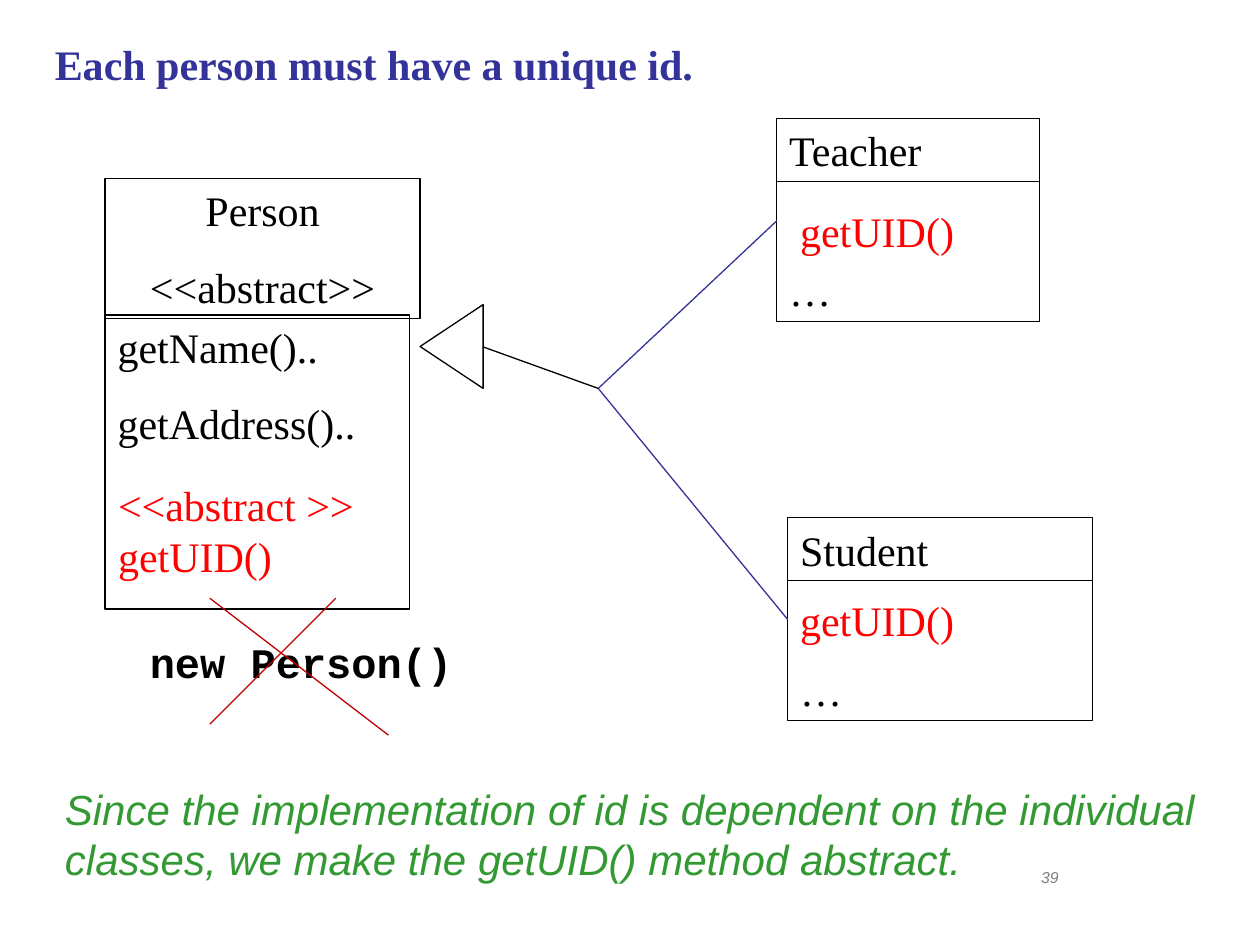
from dataclasses import dataclass, field

from lxml.etree import SubElement
from pptx import Presentation
from pptx.dml.color import RGBColor
from pptx.enum.shapes import MSO_CONNECTOR, MSO_SHAPE
from pptx.enum.text import MSO_ANCHOR, MSO_AUTO_SIZE, PP_ALIGN
from pptx.oxml.ns import qn
from pptx.util import Cm, Pt

COLORS = {
    "ink": "000000",
    "navy": "333399",
    "red": "FF0000",
    "cross": "C00000",
    "green": "339933",
    "gray": "808080",
}
HEADER_HEIGHT = 1.27
FORK = (12.06, 7.83)


@dataclass
class Area:
    left: float
    top: float
    width: float
    height: float

    def lengths(self) -> tuple:
        return Cm(self.left), Cm(self.top), Cm(self.width), Cm(self.height)


@dataclass
class Style:
    color: str = "ink"
    align: PP_ALIGN = PP_ALIGN.LEFT
    anchor: MSO_ANCHOR = MSO_ANCHOR.TOP
    gap: float = 0
    wrap: bool = True
    font: dict = field(default_factory=dict)


@dataclass
class Label:
    area: Area
    lines: list[str]
    style: Style


@dataclass
class Stroke:
    start: tuple[float, float]
    end: tuple[float, float]
    color: str


@dataclass
class Subclass:
    name: str
    left: float
    top: float
    width: float
    method_top: float


def rgb(color: str) -> RGBColor:
    return RGBColor.from_string(COLORS[color])


def write(frame, lines: list[str], style: Style) -> None:
    frame.auto_size = MSO_AUTO_SIZE.NONE
    frame.word_wrap = style.wrap
    frame.vertical_anchor = style.anchor
    font_values = {"name": "Times New Roman", "size": Pt(24),
                   "bold": False, "italic": False} | style.font
    for index, line in enumerate(lines):
        paragraph = frame.paragraphs[0] if index == 0 else frame.add_paragraph()
        paragraph.text = line
        paragraph.alignment = style.align
        paragraph.space_before = Pt(style.gap if index else 0)
        for name, value in font_values.items():
            setattr(paragraph.font, name, value)
        paragraph.font.color.rgb = rgb(style.color)


def draw_label(slide, label: Label) -> None:
    box = slide.shapes.add_textbox(*label.area.lengths())
    write(box.text_frame, label.lines, label.style)


def draw_outline(slide, kind: MSO_SHAPE, area: Area):
    outline = slide.shapes.add_shape(kind, *area.lengths())
    outline.shadow.inherit = False
    outline.fill.background()
    outline.line.color.rgb = rgb("ink")
    outline.line.width = Pt(0.75)
    return outline


def draw_compartment(slide, label: Label) -> None:
    compartment = draw_outline(slide, MSO_SHAPE.RECTANGLE, label.area)
    write(compartment.text_frame, label.lines, label.style)


def draw_subclass(slide, subclass: Subclass) -> None:
    header = Area(subclass.left, subclass.top, subclass.width, HEADER_HEIGHT)
    members = Area(subclass.left, subclass.top + HEADER_HEIGHT, subclass.width, 2.82)
    method = Area(15.88, subclass.method_top, 4.45, 1.27)
    draw_compartment(slide, Label(header, [subclass.name], Style()))
    draw_compartment(slide, Label(members, ["…"], Style(anchor=MSO_ANCHOR.BOTTOM)))
    draw_label(slide, Label(method, ["getUID()"], Style("red")))


def draw_stroke(slide, stroke: Stroke) -> None:
    connector = slide.shapes.add_connector(
        MSO_CONNECTOR.STRAIGHT, *map(Cm, stroke.start + stroke.end))
    connector.line.color.rgb = rgb(stroke.color)
    connector.line.width = Pt(0.75)
    SubElement(connector._element.spPr, qn("a:effectLst"))


PERSON = [
    Label(Area(2.12, 3.6, 6.35, 2.82), ["Person", "<<abstract>>"],
          Style(align=PP_ALIGN.CENTER, gap=15)),
    Label(Area(2.12, 6.35, 6.14, 5.93), ["getName()..", "getAddress().."],
          Style(gap=15)),
]
SUBCLASSES = [
    Subclass("Teacher", 15.66, 2.39, 5.29, 4.02),
    Subclass("Student", 15.88, 10.44, 6.14, 11.86),
]
LABELS = [
    Label(Area(2.13, 9.55, 5.26, 2.28), ["<<abstract >>", "getUID()"],
          Style("red", wrap=False)),
    Label(Area(2.77, 12.7, 6.6, 1.27), ["new Person()"],
          Style(wrap=False, font={"name": "Courier New", "bold": True})),
    Label(Area(1.06, 15.67, 23.6, 2.28),
          ["Since the implementation of id is dependent on the individual "
           "classes, we make the getUID() method abstract."],
          Style("green", font={"name": "Arial", "italic": True})),
    Label(Area(18.2, 17.36, 5.93, 1.31), ["39"],
          Style("gray", PP_ALIGN.CENTER,
                font={"name": "Arial", "size": Pt(9), "italic": True})),
]
STROKES = [
    Stroke(FORK, (15.66, 4.45), "navy"),
    Stroke(FORK, (15.88, 12.49), "navy"),
    Stroke((9.73, 6.99), FORK, "ink"),
    Stroke((4.23, 12.06), (7.83, 14.82), "cross"),
    Stroke((6.77, 12.06), (4.23, 14.6), "cross"),
]


def main() -> None:
    deck = Presentation()
    deck.slide_width, deck.slide_height = Cm(25.4), Cm(19.05)
    slide = deck.slides.add_slide(deck.slide_layouts[5])

    title = slide.shapes.title
    title.left, title.top, title.width, title.height = Area(
        0.85, 0.64, 15.24, 1.27).lengths()
    write(title.text_frame, ["Each person must have a unique id."],
          Style("navy", font={"bold": True}))

    for compartment in PERSON:
        draw_compartment(slide, compartment)
    for subclass in SUBCLASSES:
        draw_subclass(slide, subclass)
    inheritance = draw_outline(
        slide, MSO_SHAPE.ISOSCELES_TRIANGLE, Area(8.26, 6.35, 1.69, 1.27))
    inheritance.rotation = 270
    for label in LABELS:
        draw_label(slide, label)
    for stroke in STROKES:
        draw_stroke(slide, stroke)

    deck.save("out.pptx")


if __name__ == "__main__":
    main()
